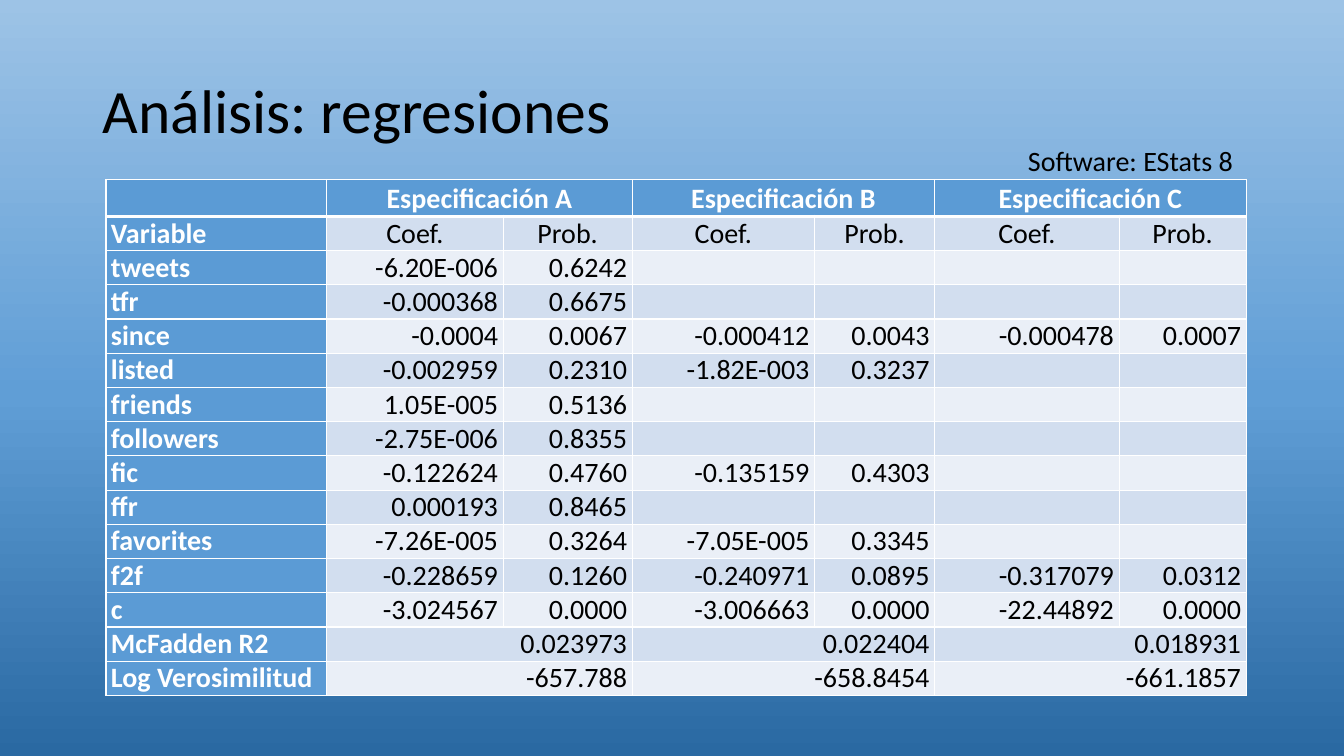
"""Slide with a table of regression results under three specifications."""
from copy import deepcopy
from lxml import etree
from pptx import Presentation
from pptx.dml.color import RGBColor
from pptx.enum.text import MSO_ANCHOR, PP_ALIGN
from pptx.oxml.ns import qn
from pptx.util import Inches, Pt

LEFT, MID, RIGHT = PP_ALIGN.LEFT, PP_ALIGN.CENTER, PP_ALIGN.RIGHT
CENTER, TOP, LOW = MSO_ANCHOR.MIDDLE, MSO_ANCHOR.TOP, MSO_ANCHOR.BOTTOM
BLACK, WHITE, BLUE = "000000", "FFFFFF", "5B9BD5"
BANDS = "D2DEEF", "EAEFF7"
SKY = (0, "2A69A2"), (0.48, "609ED6"), (1, "9DC3E6")


def tint(code):
    """Turn a hex string into a colour."""
    return RGBColor.from_string(code)


class Deck:
    """Holds the font and the slide; lengths are percent of the slide's size."""

    def __init__(self, font):
        self.font = font
        self.show = Presentation()
        self.show.slide_width, self.show.slide_height = Inches(13.33), Inches(7.5)
        self.slide = self.show.slides.add_slide(self.show.slide_layouts[6])

    def wide(self, share):
        """Give a share of the slide's width."""
        return int(self.show.slide_width * share / 100)

    def high(self, share):
        """Give a share of the slide's height."""
        return int(self.show.slide_height * share / 100)

    def ground(self, stops):
        """Paint the background with an upward gradient."""
        fill = self.slide.background.fill
        fill.gradient()
        fill.gradient_angle = 90
        marks = self.slide.element.find(".//" + qn("a:gsLst"))
        for _ in stops[len(marks):]:
            marks.append(deepcopy(marks[0]))
        for mark, (place, code) in zip(fill.gradient_stops, stops):
            mark.position, mark.color.rgb = place, tint(code)

    def text(self, frame, words, size, code=BLACK, align=LEFT, bold=False):
        """Fill a text frame with one line."""
        line = frame.paragraphs[0]
        line.text, line.alignment = words, align
        font = line.font
        font.name, font.size, font.bold = self.font, Pt(size), bold
        font.color.rgb = tint(code)
        return line

    def label(self, x, y, w, h, words, size, anchor=TOP):
        """Add a text box."""
        box = self.slide.shapes.add_textbox(
            self.wide(x), self.high(y), self.wide(w), self.high(h))
        frame = box.text_frame
        frame.word_wrap, frame.vertical_anchor = True, anchor
        return self.text(frame, words, size)

    def edge(self, cell, side, width):
        """Draw one white cell border."""
        line = etree.SubElement(cell._tc.get_or_add_tcPr(), qn("a:ln" + side),
                                w=str(Pt(width)))
        fill = etree.SubElement(line, qn("a:solidFill"))
        etree.SubElement(fill, qn("a:srgbClr"), val=WHITE)

    def cell(self, cell, words, row, col):
        """Style one cell by its row and column."""
        thick = {"T": row == 1, "B": row == 0}
        for side in "LRTB":
            self.edge(cell, side, 3 if thick.get(side) else 1)
        head = row == 0 or col == 0
        cell.fill.solid()
        cell.fill.fore_color.rgb = tint(BLUE if head else BANDS[(row - 1) % 2])
        cell.margin_left = cell.margin_right = Inches(0.05)
        cell.margin_top = cell.margin_bottom = 0
        cell.vertical_anchor = LOW
        align = LEFT if col == 0 else MID if row < 2 else RIGHT
        self.text(cell.text_frame, words, 20, WHITE if head else BLACK, align, head)

    def table(self, x, y, cols, rows, data, spans):
        """Add the table, joining column pairs in the spanned rows."""
        grid = self.slide.shapes.add_table(
            len(rows), len(cols), self.wide(x), self.high(y),
            self.wide(sum(cols)), self.high(sum(rows))).table
        grid.first_row = grid.horz_banding = False
        for col, share in zip(grid.columns, cols):
            col.width = self.wide(share)
        for row, share in zip(grid.rows, rows):
            row.height = self.high(share)
        for r, line in enumerate(data):
            for c in range(len(cols)):
                self.cell(grid.cell(r, c), line[c] if c < len(line) else "", r, c)
        for r in spans:
            for c in range(1, len(cols), 2):
                grid.cell(r, c).merge(grid.cell(r, c + 1))


DATA = [
    ["", "Especificación A", "", "Especificación B", "", "Especificación C"],
    ["Variable"] + ["Coef.", "Prob."] * 3,
    ["tweets", "-6.20E-006", "0.6242"],
    ["tfr", "-0.000368", "0.6675"],
    ["since", "-0.0004", "0.0067", "-0.000412", "0.0043", "-0.000478", "0.0007"],
    ["listed", "-0.002959", "0.2310", "-1.82E-003", "0.3237"],
    ["friends", "1.05E-005", "0.5136"],
    ["followers", "-2.75E-006", "0.8355"],
    ["fic", "-0.122624", "0.4760", "-0.135159", "0.4303"],
    ["ffr", "0.000193", "0.8465"],
    ["favorites", "-7.26E-005", "0.3264", "-7.05E-005", "0.3345"],
    ["f2f", "-0.228659", "0.1260", "-0.240971", "0.0895", "-0.317079", "0.0312"],
    ["c", "-3.024567", "0.0000", "-3.006663", "0.0000", "-22.44892", "0.0000"],
    ["McFadden R2", "0.023973", "", "0.022404", "", "0.018931"],
    ["Log Verosimilitud", "-657.788", "", "-658.8454", "", "-661.1857"],
]
COLS = [16.43, 13.13, 9.6, 13.58, 8.93, 13.73, 9.45]
ROWS = [4.9] + [4.53] * 14

deck = Deck("Calibri")
deck.ground(SKY)
title = deck.label(6.9, 5.33, 86.25, 19.33, "Análisis: regresiones", 44, CENTER)
title.line_spacing = 0.9
deck.table(7.88, 23.73, COLS, ROWS, DATA, (0, 13, 14))
deck.label(75.75, 18.27, 22.8, 5.87, "Software: EStats 8", 20)
deck.show.save("out.pptx")
